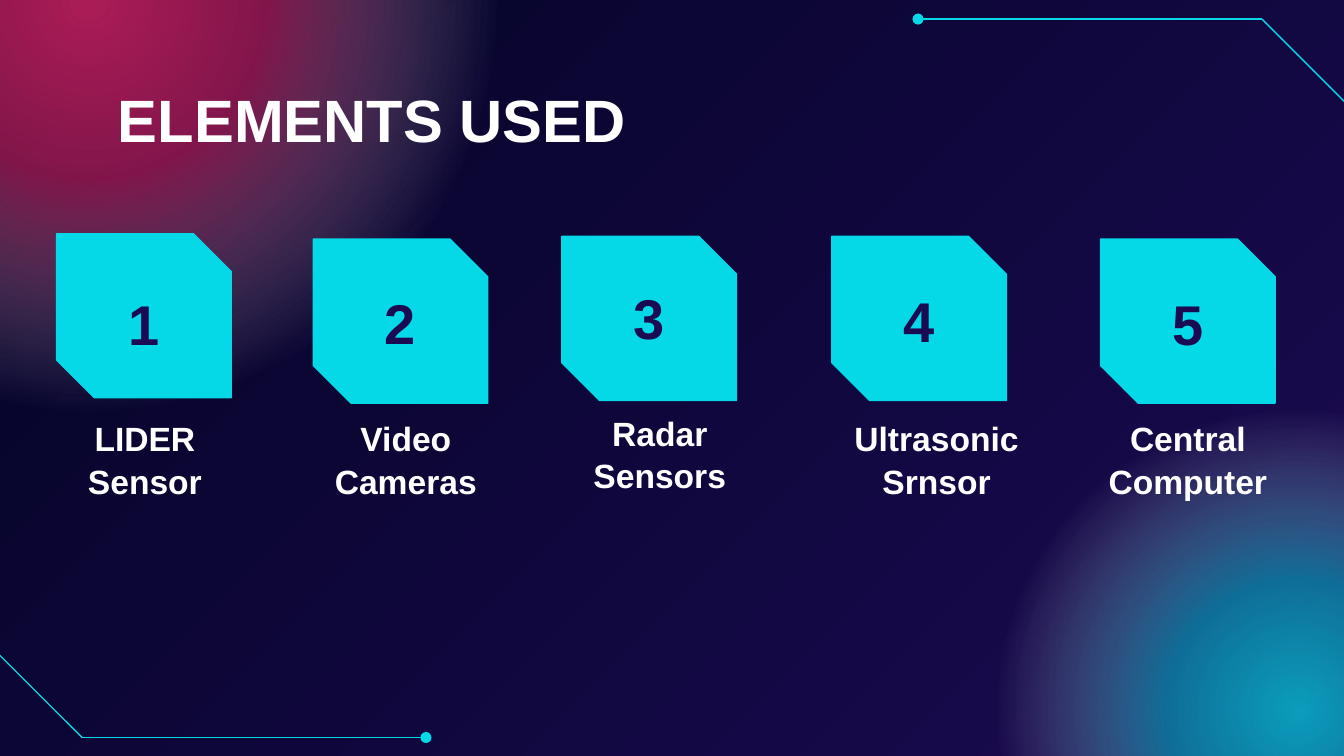
from dataclasses import dataclass

from lxml import etree
from pptx import Presentation
from pptx.dml.color import RGBColor
from pptx.enum.shapes import MSO_CONNECTOR, MSO_SHAPE
from pptx.enum.text import MSO_ANCHOR, MSO_AUTO_SIZE, PP_ALIGN
from pptx.oxml import parse_xml
from pptx.oxml.ns import nsdecls, qn
from pptx.shapes.base import BaseShape
from pptx.slide import Slide
from pptx.util import Cm, Pt

OVAL, SNIPPED = MSO_SHAPE.OVAL, MSO_SHAPE.SNIP_2_DIAG_RECTANGLE
STRAIGHT = MSO_CONNECTOR.STRAIGHT
TOP, MIDDLE = MSO_ANCHOR.TOP, MSO_ANCHOR.MIDDLE
LEFT, CENTER = PP_ALIGN.LEFT, PP_ALIGN.CENTER
NO_AUTOFIT = MSO_AUTO_SIZE.NONE


@dataclass(frozen=True)
class Theme:
    font: str = "Arial"
    night: str = "030325"
    indigo: str = "1B0B52"
    cyan: str = "05D8E7"
    pink: str = "FF296D"
    white: str = "FFFFFF"
    title_size: int = 32
    number_size: int = 30
    label_size: int = 18
    line_width: float = 0.75


@dataclass(frozen=True)
class Glow:
    left: float
    top: float
    diameter: float
    color: str
    center_alpha: int
    inner_alpha: int


@dataclass(frozen=True)
class Element:
    label: str
    card_left: float
    card_top: float
    number_top: float
    label_left: float
    label_top: float = 7.62


THEME = Theme()
CARD_W, CARD_H, SNIP = 3.3, 3.1, 0.23
LABEL_W, TEXT_H = 4.72, 1.12
PADDING = 0.25

GLOWS = (
    Glow(-6.27, -7.92, 15.88, THEME.pink, 67, 49),
    Glow(18.69, 7.59, 11.61, THEME.cyan, 71, 48),
)
# Each trace runs from the slide edge to a bend and ends in a dot.
TRACES = (
    ((-0.05, 12.34), (1.55, 13.94), (8.05, 13.94)),
    ((25.45, 1.96), (23.85, 0.36), (17.35, 0.36)),
)
ELEMENTS = (
    Element("LIDER Sensor", 1.07, 4.42, 5.51, 0.38),
    Element("Video Cameras", 5.92, 4.52, 5.49, 5.31),
    Element("Radar Sensors", 10.62, 4.47, 5.41, 10.11, 7.52),
    Element("Ultrasonic Srnsor", 15.72, 4.47, 5.46, 15.34),
    Element("Central Computer", 20.8, 4.52, 5.51, 20.09),
)


def rgb(color: str) -> RGBColor:
    return RGBColor.from_string(color)


def paint_background(s: Slide) -> None:
    fill = s.background.fill
    fill.gradient()
    fill.gradient_angle = 315
    for stop, color in zip(fill.gradient_stops, (THEME.night, THEME.indigo)):
        stop.color.rgb = rgb(color)


def add_glow(s: Slide, glow: Glow) -> None:
    """Draw a circle that fades from its centre to full transparency."""
    size = Cm(glow.diameter)
    sp = s.shapes.add_shape(OVAL, Cm(glow.left), Cm(glow.top), size, size)
    sp.shadow.inherit = False
    sp.line.fill.background()
    stops = (
        (0, glow.color, glow.center_alpha),
        (30, glow.color, glow.inner_alpha),
        (69, THEME.white, 0),
        (100, THEME.white, 0),
    )
    stop_xml = "".join(
        f'<a:gs pos="{pos * 1000}"><a:srgbClr val="{color}">'
        f'<a:alpha val="{alpha * 1000}"/></a:srgbClr></a:gs>'
        for pos, color, alpha in stops
    )
    gradient = parse_xml(
        f'<a:gradFill {nsdecls("a")} rotWithShape="1"><a:gsLst>{stop_xml}</a:gsLst>'
        '<a:path path="circle"><a:fillToRect l="50000" t="50000" r="50000" b="50000"/>'
        "</a:path></a:gradFill>"
    )
    sp.element.spPr.find(qn("a:prstGeom")).addnext(gradient)


def add_line(s: Slide, start: tuple[float, float], end: tuple[float, float],
             dot: bool) -> None:
    cx = s.shapes.add_connector(STRAIGHT, *map(Cm, start + end))
    cx.line.color.rgb = rgb(THEME.cyan)
    cx.line.width = Pt(THEME.line_width)
    spPr = cx.element.spPr
    if dot:
        etree.SubElement(spPr.find(qn("a:ln")), qn("a:tailEnd"), type="oval")
    etree.SubElement(spPr, qn("a:effectLst"))


def set_text(sp: BaseShape, text: str, size: int, color: str,
             align: PP_ALIGN, anchor: MSO_ANCHOR) -> None:
    tf = sp.text_frame
    frame_format = {"word_wrap": True, "auto_size": NO_AUTOFIT, "vertical_anchor": anchor}
    frame_format |= {f"margin_{side}": Cm(PADDING)
                     for side in ("left", "top", "right", "bottom")}
    for name, value in frame_format.items():
        setattr(tf, name, value)
    p = tf.paragraphs[0]
    p.alignment = align
    p.line_spacing = 1.05
    r = p.add_run()
    r.text = text
    for name, value in {"name": THEME.font, "size": Pt(size), "bold": True}.items():
        setattr(r.font, name, value)
    r.font.color.rgb = rgb(color)


def add_title(s: Slide, text: str) -> None:
    title = s.shapes.title
    place = {"left": 1.98, "top": 1.24, "width": 21.44, "height": 1.6}
    for name, value in place.items():
        setattr(title, name, Cm(value))
    set_text(title, text, THEME.title_size, THEME.white, LEFT, TOP)
    # Bring the title in front of the glows.
    title.element.getparent().append(title.element)


def add_element(s: Slide, number: int, item: Element) -> None:
    """Draw one numbered card with its label below."""
    left = Cm(item.card_left)
    card = s.shapes.add_shape(SNIPPED, left, Cm(item.card_top), Cm(CARD_W), Cm(CARD_H))
    card.shadow.inherit = False
    card.adjustments[0], card.adjustments[1] = 0, SNIP
    card.fill.solid()
    card.fill.fore_color.rgb = rgb(THEME.cyan)
    card.line.color.rgb = rgb(THEME.cyan)
    card.line.width = Pt(THEME.line_width)

    box = s.shapes.add_textbox(left, Cm(item.number_top), Cm(CARD_W), Cm(TEXT_H))
    set_text(box, str(number), THEME.number_size, THEME.indigo, CENTER, MIDDLE)
    box = s.shapes.add_textbox(Cm(item.label_left), Cm(item.label_top),
                               Cm(LABEL_W), Cm(TEXT_H))
    set_text(box, item.label, THEME.label_size, THEME.white, CENTER, TOP)


def main() -> None:
    prs = Presentation()
    prs.slide_width, prs.slide_height = Cm(25.4), Cm(14.29)
    s = prs.slides.add_slide(prs.slide_layouts.get_by_name("Title Only"))
    paint_background(s)
    for glow in GLOWS:
        add_glow(s, glow)
    for edge, bend, tip in TRACES:
        add_line(s, edge, bend, dot=False)
        add_line(s, bend, tip, dot=True)
    add_title(s, "ELEMENTS USED")
    for number, item in enumerate(ELEMENTS, start=1):
        add_element(s, number, item)
    prs.save("out.pptx")


if __name__ == "__main__":
    main()
